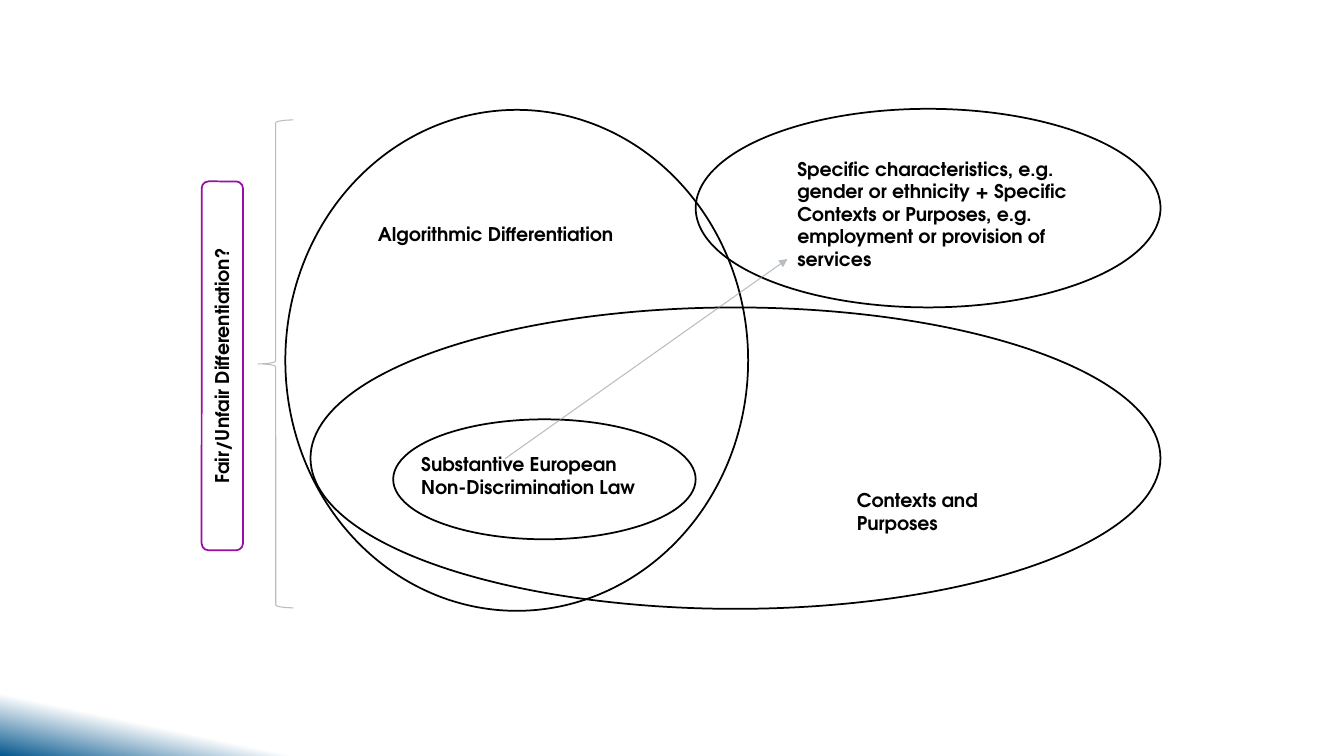
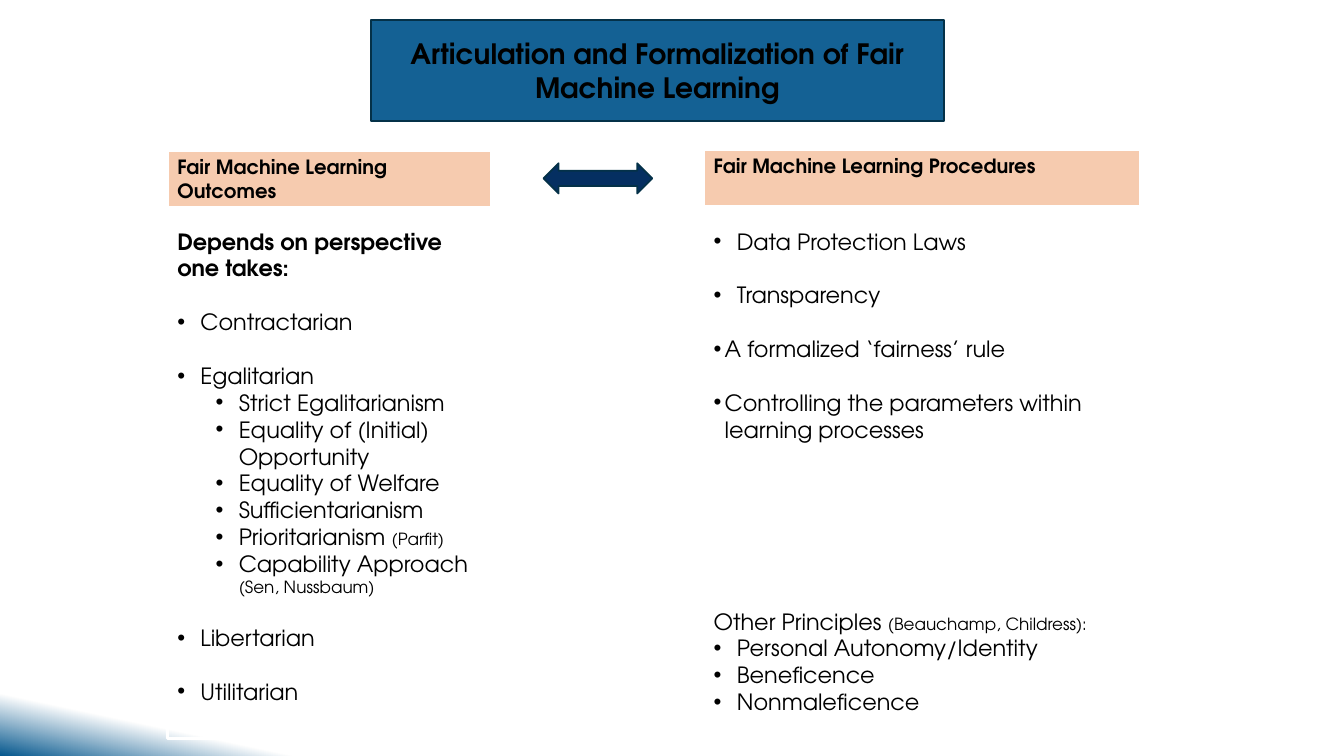
from dataclasses import dataclass

from lxml.etree import SubElement
from pptx import Presentation
from pptx.dml.color import RGBColor
from pptx.enum.shapes import MSO_CONNECTOR, MSO_SHAPE as Preset
from pptx.enum.text import MSO_ANCHOR as Anchor, PP_ALIGN as Align
from pptx.oxml.ns import qn
from pptx.util import Inches, Pt

FONT = "TeX Gyre Adventor"
BLACK, WHITE = "000000", "FFFFFF"
CORNER_BLUE, TITLE_BLUE, ARROW_BLUE, EDGE_BLUE = "06588E", "146194", "052F61", "043148"
PEACH, PURPLE, GREY = "F6CBAF", "990EA5", "89919C"
LABEL_SIZE, HEADING_SIZE, BODY_SIZE, CITE_SIZE, TITLE_SIZE = 13.5, 14, 16, 12, 20
BLANK_LINE = 19.2
HANG = 0.23
TIGHT, OUTER, INNER = 0.11, 0.23, 0.61


@dataclass
class Box:
    left: float
    top: float
    width: float
    height: float

    def lengths(self) -> tuple:
        return tuple(Inches(v) for v in (self.left, self.top, self.width, self.height))


@dataclass
class Entry:
    text: str
    cite: str = ""
    indent: float = 0
    gap: bool = False
    bold: bool = False
    size: float = BODY_SIZE


@dataclass
class Label:
    text: str
    box: Box


@dataclass
class Panel:
    box: Box
    entries: list[Entry]
    fill: str | None = None


def rgb(value: str) -> RGBColor:
    return RGBColor.from_string(value)


def set_line(line, color: str, width: float, opacity: int = 100) -> None:
    line.color.rgb = rgb(color)
    line.width = Pt(width)
    if opacity < 100:
        for clr in line.fill._xPr.iter(qn("a:srgbClr")):
            SubElement(clr, qn("a:alpha")).set("val", str(opacity * 1000))


def add_preset(slide, preset: Preset, box: Box, line: str, width: float = 1.25,
               fill: str | None = None, opacity: int = 100):
    shape = slide.shapes.add_shape(preset, *box.lengths())
    shape.shadow.inherit = False
    if fill:
        shape.fill.solid()
        shape.fill.fore_color.rgb = rgb(fill)
    else:
        shape.fill.background()
    set_line(shape.line, line, width, opacity)
    return shape


def add_pointer(slide, start: tuple[float, float], end: tuple[float, float]) -> None:
    pointer = slide.shapes.add_connector(
        MSO_CONNECTOR.STRAIGHT, *(Inches(v) for v in start + end))
    set_line(pointer.line, GREY, 0.75, 60)
    SubElement(pointer.line._get_or_add_ln(), qn("a:tailEnd")).set("type", "triangle")
    SubElement(pointer.element.spPr, qn("a:effectLst"))


def add_bullet(paragraph, indent: float) -> None:
    props = paragraph._p.get_or_add_pPr()
    props.set("marL", str(Inches(indent)))
    props.set("indent", str(-Inches(min(indent, HANG))))
    SubElement(props, qn("a:buFont")).set("typeface", "Arial")
    SubElement(props, qn("a:buChar")).set("char", "•")


def write(frame, entries: list[Entry], align: Align = Align.LEFT,
          anchor: Anchor = Anchor.TOP) -> None:
    frame.word_wrap = True
    frame.vertical_anchor = anchor
    for index, entry in enumerate(entries):
        paragraph = frame.add_paragraph() if index else frame.paragraphs[0]
        paragraph.alignment = align
        if entry.gap:
            paragraph.space_before = Pt(BLANK_LINE)
        if entry.indent:
            add_bullet(paragraph, entry.indent)
            paragraph.level = int(entry.indent == INNER)
        font = paragraph.font
        font.name, font.size, font.bold = FONT, Pt(entry.size), entry.bold
        font.color.rgb = rgb(BLACK)
        paragraph.add_run().text = entry.text
        if entry.cite:
            cite = paragraph.add_run()
            cite.text = entry.cite
            cite.font.size = Pt(CITE_SIZE)


def set_background(master) -> None:
    fill = master.background.fill
    fill.gradient()
    fill.gradient_angle = 258
    for stop, (position, color) in zip(fill.gradient_stops, ((0.94, WHITE), (1, CORNER_BLUE))):
        stop.position = position
        stop.color.rgb = rgb(color)


def heading(text: str, size: float = HEADING_SIZE) -> list[Entry]:
    return [Entry(text, bold=True, size=size)]


SETS = [
    Box(2.83, 1.09, 4.59, 4.97),
    Box(3.08, 3.05, 8.43, 2.99),
    Box(6.9, 1.08, 4.61, 1.97),
    Box(3.9, 4.16, 3, 1.19),
]
SET_LABELS = [
    Label("Algorithmic Differentiation", Box(3.65, 2.16, 2.68, 0.33)),
    Label("Contexts and Purposes", Box(8.4, 4.8, 2.19, 0.56)),
    Label("Substantive European Non-Discrimination Law", Box(4.08, 4.44, 2.34, 0.56)),
    Label("Specific characteristics, e.g. gender or ethnicity + Specific Contexts or Purposes, "
          "e.g. employment or provision of services", Box(7.81, 1.51, 3.36, 1.24)),
]

PANELS = [
    Panel(Box(1.66, 1.49, 3.22, 0.57), heading("Fair Machine Learning Outcomes"), PEACH),
    Panel(Box(6.98, 1.48, 4.33, 0.57), heading("Fair Machine Learning Procedures"), PEACH),
    Panel(Box(6.98, 2.21, 4.33, 2.52), [
        Entry("Data Protection Laws", indent=OUTER),
        Entry("Transparency", indent=OUTER, gap=True),
        Entry("A formalized ‘fairness’ rule", indent=TIGHT, gap=True),
        Entry("Controlling the parameters within learning processes", indent=TIGHT, gap=True),
    ]),
    Panel(Box(6.98, 5.98, 4.78, 1.18), [
        Entry("Other Principles ", "(Beauchamp, Childress):"),
        Entry("Personal Autonomy/Identity", indent=OUTER),
        Entry("Beneficence", indent=OUTER),
        Entry("Nonmaleficence", indent=OUTER),
    ]),
    Panel(Box(1.66, 2.21, 3.22, 5.12), [
        Entry("Depends on perspective one takes:", bold=True),
        Entry("Contractarian", indent=OUTER, gap=True),
        Entry("Egalitarian", indent=OUTER, gap=True),
        Entry("Strict Egalitarianism", indent=INNER),
        Entry("Equality of (Initial) Opportunity", indent=INNER),
        Entry("Equality of Welfare", indent=INNER),
        Entry("Sufficientarianism", indent=INNER),
        Entry("Prioritarianism ", "(Parfit)", indent=INNER),
        Entry("Capability Approach ", "(Sen, Nussbaum)", indent=INNER),
        Entry("Libertarian", indent=OUTER, gap=True),
        Entry("Utilitarian", indent=OUTER, gap=True),
    ]),
]


def build_differentiation(slide) -> None:
    for box in SETS:
        add_preset(slide, Preset.OVAL, box, BLACK)
    for label in SET_LABELS:
        write(slide.shapes.add_textbox(*label.box.lengths()).text_frame,
              heading(label.text, LABEL_SIZE))
    add_pointer(slide, (5.01, 4.55), (7.81, 2.57))
    add_preset(slide, Preset.LEFT_BRACE, Box(2.56, 1.19, 0.35, 4.84), GREY, 0.75, opacity=60)

    question = add_preset(slide, Preset.ROUNDED_RECTANGLE, Box(2, 1.8, 0.41, 3.66), PURPLE)
    frame = question.text_frame
    frame.margin_left = frame.margin_right = Inches(0.07)
    frame.margin_top = frame.margin_bottom = Inches(0.04)
    write(frame, heading("Fair/Unfair Differentiation?", LABEL_SIZE), Align.CENTER, Anchor.MIDDLE)
    question.element.txBody.find(qn("a:bodyPr")).set("vert", "vert270")


def build_fair_learning(slide) -> None:
    title = add_preset(slide, Preset.RECTANGLE, Box(3.68, 0.2, 5.68, 1), EDGE_BLUE, fill=TITLE_BLUE)
    write(title.text_frame,
          heading("Articulation and Formalization of Fair Machine Learning", TITLE_SIZE),
          Align.CENTER, Anchor.MIDDLE)
    for panel in PANELS:
        shape = add_preset(slide, Preset.RECTANGLE, panel.box, WHITE, 2.25, panel.fill)
        write(shape.text_frame, panel.entries)
    add_preset(slide, Preset.LEFT_RIGHT_ARROW, Box(5.39, 1.62, 1.08, 0.3), EDGE_BLUE,
               fill=ARROW_BLUE)


def main() -> None:
    deck = Presentation()
    deck.slide_width, deck.slide_height = Inches(13.33), Inches(7.5)
    set_background(deck.slide_master)
    for build in (build_differentiation, build_fair_learning):
        build(deck.slides.add_slide(deck.slide_layouts[6]))
    deck.save("out.pptx")


if __name__ == "__main__":
    main()
